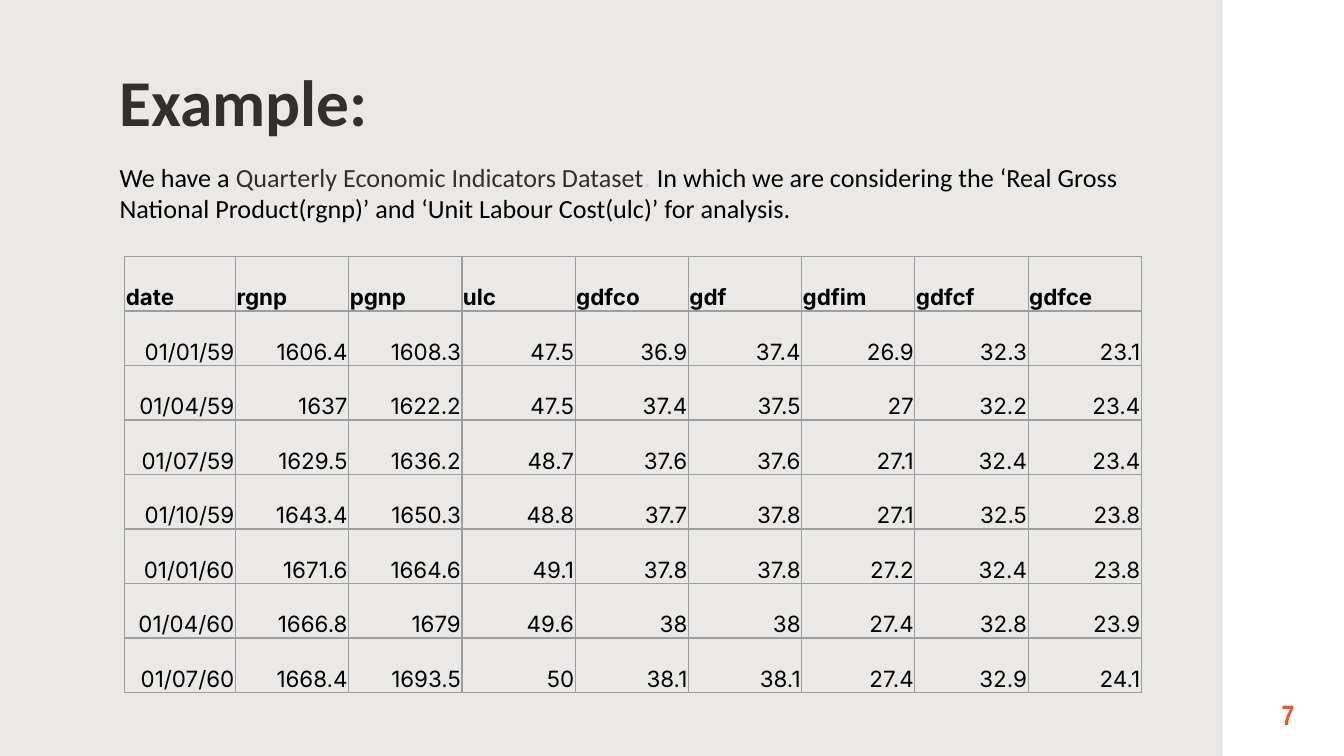
from lxml import etree
from pptx import Presentation
from pptx.dml.color import RGBColor
from pptx.enum.shapes import MSO_SHAPE
from pptx.enum.text import MSO_ANCHOR, MSO_AUTO_SIZE, PP_ALIGN
from pptx.oxml.ns import qn
from pptx.util import Cm, Pt

RECTANGLE = MSO_SHAPE.RECTANGLE
TOP, MIDDLE, BOTTOM = MSO_ANCHOR.TOP, MSO_ANCHOR.MIDDLE, MSO_ANCHOR.BOTTOM
LEFT, CENTER, RIGHT = PP_ALIGN.LEFT, PP_ALIGN.CENTER, PP_ALIGN.RIGHT
NO_AUTOFIT = MSO_AUTO_SIZE.NONE
TITLE_ONLY = 5

COLORS = {
    "background": "EBE9E7",
    "strip": "FFFFFF",
    "heading": "332F2E",
    "text": "000000",
    "faint": "D1D5DB",
    "accent": "F45126",
    "border": "9E9E9E",
}

INTRO = [
    ("We have a ", "Calibri", "text"),
    ("Quarterly Economic Indicators Dataset", "Calibri", "heading"),
    (".", "Open Sans", "faint"),
    (" In which we are considering the ‘Real Gross National Product(rgnp)’ "
     "and ‘Unit Labour Cost(ulc)’ for analysis.", "Calibri", "text"),
]

INDICATORS = [
    ["date", "rgnp", "pgnp", "ulc", "gdfco", "gdf", "gdfim", "gdfcf", "gdfce"],
    ["01/01/59", "1606.4", "1608.3", "47.5", "36.9", "37.4", "26.9", "32.3", "23.1"],
    ["01/04/59", "1637", "1622.2", "47.5", "37.4", "37.5", "27", "32.2", "23.4"],
    ["01/07/59", "1629.5", "1636.2", "48.7", "37.6", "37.6", "27.1", "32.4", "23.4"],
    ["01/10/59", "1643.4", "1650.3", "48.8", "37.7", "37.8", "27.1", "32.5", "23.8"],
    ["01/01/60", "1671.6", "1664.6", "49.1", "37.8", "37.8", "27.2", "32.4", "23.8"],
    ["01/04/60", "1666.8", "1679", "49.6", "38", "38", "27.4", "32.8", "23.9"],
    ["01/07/60", "1668.4", "1693.5", "50", "38.1", "38.1", "27.4", "32.9", "24.1"],
]
DATE_WIDTH, VALUE_WIDTH, ROW_HEIGHT = Cm(2.09), Cm(2.14), Cm(1.03)


def color(name):
    return RGBColor.from_string(COLORS[name])


def style_font(font, name, size, color_name, bold=False):
    font.name = name
    font.size = Pt(size)
    font.bold = bold
    font.color.rgb = color(color_name)


def set_margins(frame, sides, ends):
    frame.margin_left = frame.margin_right = sides
    frame.margin_top = frame.margin_bottom = ends


def add_strip(page, left, width, height):
    strip = page.shapes.add_shape(RECTANGLE, left, 0, width, height)
    strip.shadow.inherit = False
    strip.fill.solid()
    strip.fill.fore_color.rgb = color("strip")
    strip.line.fill.background()


def set_title(page, text):
    title = page.shapes.title
    title.left, title.top = Cm(2.01), Cm(0.91)
    title.width, title.height = Cm(21.41), Cm(1.6)
    frame = title.text_frame
    frame.text = text
    frame.auto_size = NO_AUTOFIT
    frame.vertical_anchor = TOP
    set_margins(frame, Cm(0.25), Cm(0.25))
    para = frame.paragraphs[0]
    para.alignment = LEFT
    style_font(para.font, "Calibri", 35, "heading", True)


def add_intro(page):
    box = page.shapes.add_textbox(Cm(2.01), Cm(2.92), Cm(19.79), Cm(1.45))
    box.text_frame.word_wrap = True
    para = box.text_frame.paragraphs[0]
    for text, font_name, color_name in INTRO:
        span = para.add_run()
        span.text = text
        style_font(span.font, font_name, 14, color_name)


def add_page_number(page, number):
    box = page.shapes.add_textbox(Cm(23.72), Cm(13.08), Cm(1.24), Cm(0.84))
    frame = box.text_frame
    frame.word_wrap = True
    frame.vertical_anchor = MIDDLE
    set_margins(frame, Cm(0.25), Cm(0.25))
    para = frame.paragraphs[0]
    para.text = number
    para.alignment = CENTER
    style_font(para.font, "Arial Narrow", 15, "accent", True)


def set_borders(cell):
    properties = cell._tc.get_or_add_tcPr()
    for side in ("lnL", "lnR", "lnT", "lnB"):
        line = etree.SubElement(properties, qn(f"a:{side}"), w=str(Pt(0.75)))
        fill = etree.SubElement(line, qn("a:solidFill"))
        etree.SubElement(fill, qn("a:srgbClr"), val=COLORS["border"])


def fill_cell(cell, text, is_header):
    set_borders(cell)
    cell.fill.background()
    cell.vertical_anchor = BOTTOM
    set_margins(cell, Cm(0.02), Cm(0.02))
    cell.margin_bottom = 0
    para = cell.text_frame.paragraphs[0]
    para.text = text
    para.alignment = LEFT if is_header else RIGHT
    style_font(para.font, "Inter", 12, "text", is_header)


def add_indicator_table(page):
    row_count, column_count = len(INDICATORS), len(INDICATORS[0])
    width = DATE_WIDTH + VALUE_WIDTH * (column_count - 1)
    table = page.shapes.add_table(
        row_count, column_count, Cm(2.36), Cm(4.85), width, ROW_HEIGHT * row_count
    ).table
    table.first_row = False
    table.horz_banding = False
    for index, column in enumerate(table.columns):
        column.width = VALUE_WIDTH if index else DATE_WIDTH
    for row_index, values in enumerate(INDICATORS):
        table.rows[row_index].height = ROW_HEIGHT
        for column_index, text in enumerate(values):
            fill_cell(table.cell(row_index, column_index), text, row_index == 0)


def main():
    deck = Presentation()
    deck.slide_width, deck.slide_height = Cm(25.4), Cm(14.29)
    page = deck.slides.add_slide(deck.slide_layouts[TITLE_ONLY])
    page.background.fill.solid()
    page.background.fill.fore_color.rgb = color("background")
    add_strip(page, Cm(23.11), Cm(2.29), deck.slide_height)
    set_title(page, "Example:")
    add_page_number(page, "7")
    add_indicator_table(page)
    add_intro(page)
    deck.save("out.pptx")


if __name__ == "__main__":
    main()
